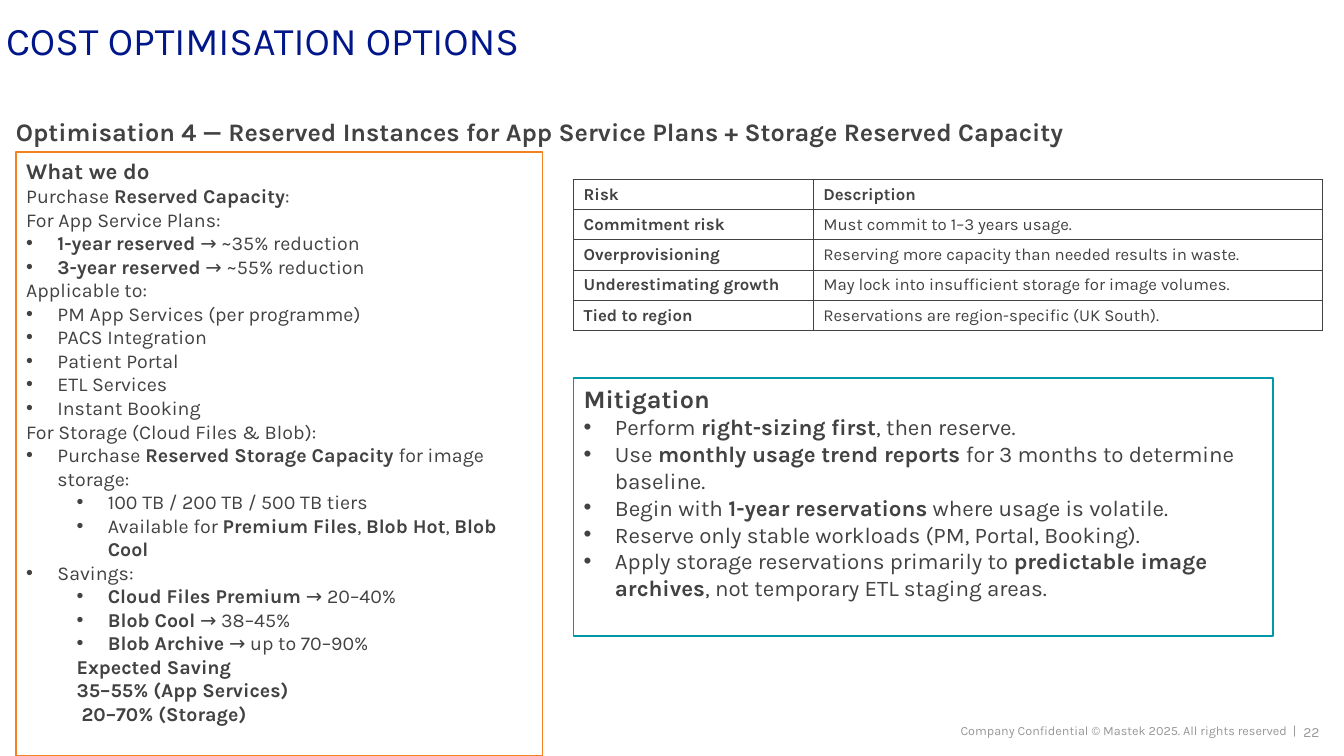
from lxml import etree
from pptx import Presentation
from pptx.dml.color import RGBColor
from pptx.enum.text import MSO_ANCHOR, MSO_AUTO_SIZE, PP_ALIGN
from pptx.oxml.ns import qn
from pptx.util import Inches, Pt

LEFT, RIGHT = PP_ALIGN.LEFT, PP_ALIGN.RIGHT
TOP, MID, LOW = MSO_ANCHOR.TOP, MSO_ANCHOR.MIDDLE, MSO_ANCHOR.BOTTOM
FIXED = MSO_AUTO_SIZE.NONE
FONT = "Karla"
INK, NAVY, GREY, WHITE = "424242", "001689", "98989A", "FFFFFF"
ORANGE, TEAL = "F38120", "0099A8"
WIDE, HIGH = Inches(13.333), Inches(7.5)
STEP, SUB = Inches(0.31), Inches(0.5)

PLAIN, BULLET, NESTED, INSET = range(4)
INDENTS = {
    PLAIN: (0, 0),
    BULLET: (STEP, -STEP),
    NESTED: (SUB + STEP, -STEP),
    INSET: (SUB, 0),
}

WORK = [
    (PLAIN, "Purchase **Reserved Capacity**:"),
    (PLAIN, "For App Service Plans:"),
    (BULLET, "**1-year reserved** → ~35% reduction"),
    (BULLET, "**3-year reserved** → ~55% reduction"),
    (PLAIN, "Applicable to:"),
    (BULLET, "PM App Services (per programme)"),
    (BULLET, "PACS Integration"),
    (BULLET, "Patient Portal"),
    (BULLET, "ETL Services"),
    (BULLET, "Instant Booking"),
    (PLAIN, "For Storage (Cloud Files & Blob):"),
    (BULLET, "Purchase **Reserved Storage Capacity** for image storage:"),
    (NESTED, "100 TB / 200 TB / 500 TB tiers"),
    (NESTED, "Available for **Premium Files**, **Blob Hot**, **Blob Cool**"),
    (BULLET, "Savings:"),
    (NESTED, "**Cloud Files Premium** → 20–40%"),
    (NESTED, "**Blob Cool** → 38–45%"),
    (NESTED, "**Blob Archive** → up to 70–90%"),
    (INSET, "**Expected Saving**"),
    (INSET, "**35–55% (App Services)\n 20–70% (Storage)**"),
]
CURES = [
    (BULLET, "Perform **right-sizing first**, then reserve."),
    (BULLET, "Use **monthly usage trend reports** for 3 months to determine baseline."),
    (BULLET, "Begin with **1-year reservations** where usage is volatile."),
    (BULLET, "Reserve only stable workloads (PM, Portal, Booking)."),
    (BULLET, "Apply storage reservations primarily to **predictable image archives**, "
             "not temporary ETL staging areas."),
]
RISKS = [
    ("Risk", "**Description**"),
    ("Commitment risk", "Must commit to 1–3 years usage."),
    ("Overprovisioning", "Reserving more capacity than needed results in waste."),
    ("Underestimating growth", "May lock into insufficient storage for image volumes."),
    ("Tied to region", "Reservations are region-specific (UK South)."),
]


def color(code):
    return RGBColor.from_string(code)


def area(x, y, w, h):
    return (round(WIDE * x / 100), round(HIGH * y / 100),
            round(WIDE * w / 100), round(HIGH * h / 100))


def place(shape, box):
    shape.left, shape.top, shape.width, shape.height = box


def write(para, text, size=12, ink=INK, align=LEFT, kind=PLAIN, lead=1):
    para.alignment, para.line_spacing = align, lead
    para.space_before = para.space_after = Pt(0)
    para.level = 1 if kind in (NESTED, INSET) else 0
    props = para._p.get_or_add_pPr()
    margin, hang = INDENTS[kind]
    props.set("marL", str(margin))
    props.set("indent", str(hang))
    if kind in (BULLET, NESTED):
        etree.SubElement(props, qn("a:buFont"), typeface="Arial")
        etree.SubElement(props, qn("a:buChar"), char="•")
    else:
        etree.SubElement(props, qn("a:buNone"))
    for turn, part in enumerate(text.split("**")):
        for row, line in enumerate(part.split("\n") if part else []):
            if row:
                para.add_line_break()
            run = para.add_run()
            run.text = line
            font = run.font
            font.name, font.size, font.bold = FONT, Pt(size), turn % 2 == 1
            font.color.rgb = color(ink)


def frame(shape, anchor=TOP, pads=(0.1, 0.05, 0.1, 0.05)):
    body = shape.text_frame
    body.word_wrap, body.auto_size = True, FIXED
    body.vertical_anchor = anchor
    (body.margin_left, body.margin_top,
     body.margin_right, body.margin_bottom) = map(Inches, pads)
    return body


def label(slide, box, text, anchor=TOP, pads=(0.1, 0.05, 0.1, 0.05), **style):
    shape = slide.shapes.add_textbox(*box)
    write(frame(shape, anchor, pads).paragraphs[0], text, **style)


def header(slide, box):
    title = slide.shapes.title
    place(title, box)
    write(frame(title, LOW, (0, 0, 0, 0)).paragraphs[0],
          "COST OPTIMISATION OPTIONS", size=28, ink=NAVY, lead=0.9)


def panel(shape, box, edge, head, items, size):
    place(shape, box)
    shape.fill.solid()
    shape.fill.fore_color.rgb = color(WHITE)
    shape.line.color.rgb = color(edge)
    shape.line.width = Pt(1)
    body = frame(shape)
    write(body.paragraphs[0], f"**{head}**", size=size + 2)
    for kind, text in items:
        write(body.add_paragraph(), text, size=size, kind=kind)


def border(cell):
    props = cell._tc.get_or_add_tcPr()
    for spot, side in enumerate(("lnL", "lnR", "lnT", "lnB")):
        edge = etree.Element(qn(f"a:{side}"), w=str(Pt(1)))
        fill = etree.SubElement(edge, qn("a:solidFill"))
        etree.SubElement(fill, qn("a:srgbClr"), val=INK)
        props.insert(spot, edge)


def risks(slide, box):
    table = slide.shapes.add_table(len(RISKS), 2, *box).table
    table.first_row = table.horz_banding = False
    first = round(box[2] * 0.32)
    table.columns[0].width, table.columns[1].width = first, box[2] - first
    for r, (name, note) in enumerate(RISKS):
        table.rows[r].height = box[3] // len(RISKS)
        for c, text in enumerate((f"**{name}**", note)):
            cell = table.cell(r, c)
            cell.vertical_anchor = MID
            cell.fill.solid()
            cell.fill.fore_color.rgb = color(WHITE)
            border(cell)
            write(cell.text_frame.paragraphs[0], text)


def footer(slide, y):
    label(slide, area(59.25, y, 37.2, 3.2),
          "Company Confidential © Mastek 2025. All rights reserved  |",
          anchor=MID, pads=(0, 0, 0, 0), size=9, ink=GREY, align=RIGHT)
    label(slide, area(96.3, y, 1.88, 3.6), "22",
          pads=(0, 0.05, 0, 0.05), size=10, ink=GREY, align=RIGHT)


def main():
    deck = Presentation()
    deck.slide_width, deck.slide_height = WIDE, HIGH
    slide = deck.slides.add_slide(deck.slide_layouts[3])
    header(slide, area(0.45, 2, 89.8, 6.4))
    label(slide, area(0.45, 14.67, 79.8, 5.33),
          "**Optimisation 4\u00a0— Reserved Instances for App Service Plans"
          " + Storage Reserved Capacity**".replace("\u00a0", " "), size=18)
    work, cures = slide.placeholders[1], slide.placeholders[2]
    panel(work, area(1.2, 20.13, 39.15, 79.87), ORANGE, "What we do", WORK, 14)
    panel(cures, area(42.68, 50, 52.05, 34.13), TEAL, "Mitigation", CURES, 16)
    risks(slide, area(42.68, 23.73, 55.73, 20))
    footer(slide, 95.07)
    deck.save("out.pptx")


if __name__ == "__main__":
    main()
